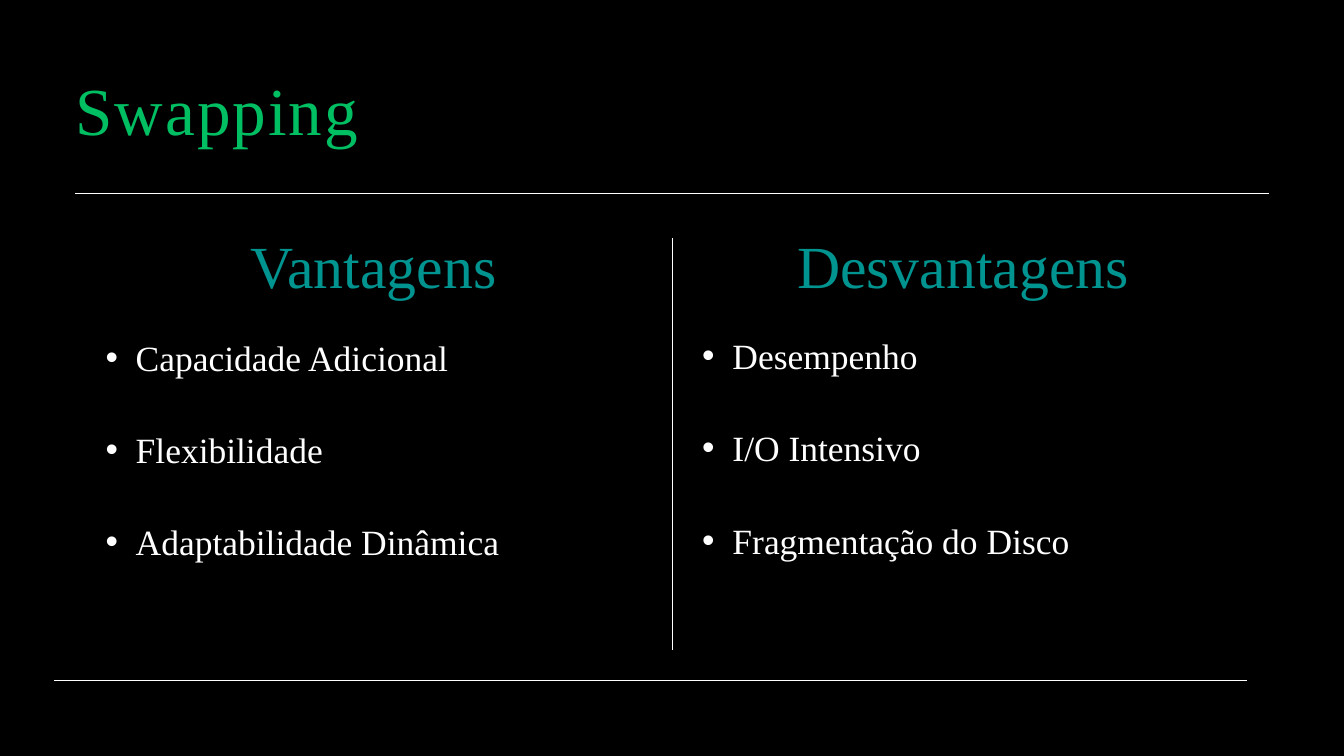
"""Build the slide on the pros and cons of swapping."""
from lxml import etree
from pptx import Presentation, util as u
from pptx.dml.color import RGBColor
from pptx.enum import shapes, text
from pptx.oxml.ns import qn

BLACK = RGBColor(0x00, 0x00, 0x00)
WHITE = RGBColor(0xFF, 0xFF, 0xFF)
GREEN = RGBColor(0x00, 0xBF, 0x63)
TEAL = RGBColor(0x00, 0x94, 0x90)
FONT = "Times New Roman"

WIDE, HIGH = 20, 11.25
EDGE, MID = 1.12, WIDE / 2
COL = MID - EDGE
TITLE = "Swapping"
LISTS = [
    ("Vantagens", 4.94,
     ["Capacidade Adicional", "Flexibilidade", "Adaptabilidade Dinâmica"]),
    ("Desvantagens ", 4.92,
     ["Desempenho", "I/O Intensivo", "Fragmentação do Disco"]),
]
RULES = [
    (EDGE, 2.88, WIDE - EDGE, 2.88),
    (MID + 0.01, 9.67, MID + 0.01, 3.54),
    (0.81, 10.13, 18.56, 10.13),
]


def write(slide, lines, box, size, color, lead, align=None, track=0, mark=None):
    """Add a text box with one paragraph per line."""
    frame = slide.shapes.add_textbox(*map(u.Inches, box)).text_frame
    frame.word_wrap = True
    frame.auto_size = text.MSO_AUTO_SIZE.SHAPE_TO_FIT_TEXT
    frame.margin_left = frame.margin_right = 0
    frame.margin_top = frame.margin_bottom = 0
    for row, line in enumerate(lines):
        para = frame.add_paragraph() if row else frame.paragraphs[0]
        para.line_spacing = u.Pt(lead)
        para.alignment = align
        if row:
            para.space_before = u.Pt(lead)
        if mark:
            para.level = 1
            prop = para._p.get_or_add_pPr()
            prop.set("marL", str(u.Inches(0.9)))
            prop.set("indent", str(u.Inches(-0.45)))
            etree.SubElement(prop, qn("a:buFont"), typeface="Arial")
            etree.SubElement(prop, qn("a:buChar"), char=mark)
        run = para.add_run()
        run.text = line
        run.font.name, run.font.size = FONT, u.Pt(size)
        run.font.color.rgb = color
        if track:
            run._r.get_or_add_rPr().set("spc", str(track))


def rule(slide, ends):
    """Draw a thin white line."""
    line = slide.shapes.add_connector(
        shapes.MSO_CONNECTOR.STRAIGHT, *map(u.Inches, ends))
    line.line.color.rgb = WHITE
    line.line.width = u.Pt(0.75)
    etree.SubElement(line._element.spPr, qn("a:effectLst"))


def main():
    """Lay out the slide and save it."""
    deck = Presentation()
    deck.slide_width, deck.slide_height = u.Inches(WIDE), u.Inches(HIGH)
    slide = deck.slides.add_slide(deck.slide_layouts[6])
    slide.background.fill.solid()
    slide.background.fill.fore_color.rgb = BLACK
    for ends in RULES:
        rule(slide, ends)
    write(slide, [TITLE], (EDGE, 1.01, 9.72, 1.32), 72, GREEN, 86.4, track=220)
    for col, (head, top, items) in enumerate(LISTS):
        left = EDGE + col * COL
        write(slide, items, (left, top, COL, 4.15), 38, WHITE, 49.4, mark="•")
        write(slide, [head], (left, 3.4, COL, 1.2), 64, TEAL, 76.8,
              align=text.PP_ALIGN.CENTER)
    deck.save("out.pptx")


if __name__ == "__main__":
    main()
